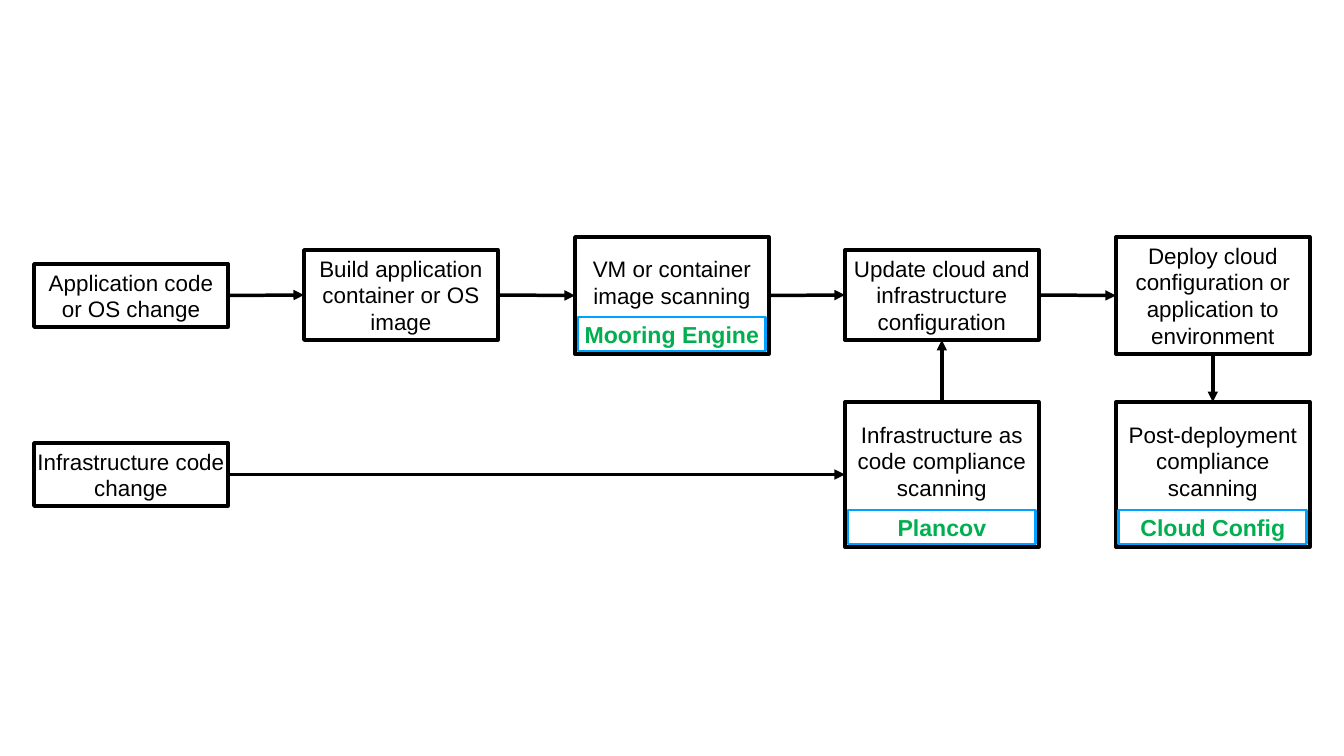
from lxml import etree
from pptx import Presentation
from pptx.dml.color import RGBColor
from pptx.enum.shapes import MSO_CONNECTOR, MSO_SHAPE
from pptx.enum.text import MSO_ANCHOR, PP_ALIGN
from pptx.oxml.ns import qn
from pptx.util import Inches, Pt

RECT = MSO_SHAPE.RECTANGLE
STRAIGHT = MSO_CONNECTOR.STRAIGHT
MIDDLE = MSO_ANCHOR.MIDDLE
CENTER = PP_ALIGN.CENTER
BLACK = RGBColor(0, 0, 0)
BLUE = RGBColor(0x00, 0xA2, 0xFF)
GREEN = RGBColor(0x00, 0xB0, 0x50)
TOP, LEFT, BOTTOM, RIGHT = range(4)
WIDTH, PAD, LINE = 194, 3, 27
TAG = 34
UPPER, LOWER = 295, 474


def px(n):
    return round(n * 914400 / 50.4)


class Flow:
    """Draws the boxes, tool tags and arrows of a flow chart on one slide."""

    def __init__(self, slide):
        self.shapes = slide.shapes
        self.font = "Arial"

    def rect(self, x, y, w, h, text, size, color, edge, weight, foot=PAD):
        box = self.shapes.add_shape(RECT, px(x), px(y), px(w), px(h))
        box.shadow.inherit = False
        box.fill.background()
        box.line.color.rgb = edge
        box.line.width = Pt(weight)
        frame = box.text_frame
        frame.word_wrap = True
        frame.vertical_anchor = MIDDLE
        frame.margin_left = frame.margin_right = frame.margin_top = px(PAD)
        frame.margin_bottom = px(foot)
        frame.text = text
        para = frame.paragraphs[0]
        para.alignment = CENTER
        font = para.runs[0].font
        font.name = self.font
        font.size = Pt(size)
        font.color.rgb = color
        return box

    def step(self, col, mid, high, text, tool=None):
        x = 34 + col * 541 // 2
        y = mid - high // 2
        foot = PAD + LINE if tool else PAD
        box = self.rect(x, y, WIDTH, high, text, 32, BLACK, BLACK, 5, foot)
        if tool:
            self.tag(x + PAD, y + high - TAG - PAD, tool)
        return box

    def tag(self, x, y, text):
        box = self.rect(x, y, WIDTH - 2 * PAD, TAG, text, 33, GREEN, BLUE, 4)
        box.text_frame.paragraphs[0].runs[0].font.bold = True

    def arrow(self, start, out, end, into):
        link = self.shapes.add_connector(STRAIGHT, 0, 0, 0, 0)
        link.begin_connect(start, out)
        link.end_connect(end, into)
        link.line.color.rgb = BLACK
        link.line.width = Pt(5)
        etree.SubElement(link.line._get_or_add_ln(), qn("a:tailEnd"), type="triangle")
        etree.SubElement(link._element.spPr, qn("a:effectLst"))


deck = Presentation()
deck.slide_width = Inches(26.67)
deck.slide_height = Inches(15)
flow = Flow(deck.slides.add_slide(deck.slide_layouts[6]))

chain = [
    flow.step(col, UPPER, high, *words)
    for col, (high, *words) in enumerate([
        (63, "Application code or OS change"),
        (90, "Build application container or OS image"),
        (117, "VM or container image scanning", "Mooring Engine"),
        (90, "Update cloud and infrastructure configuration"),
        (117, "Deploy cloud configuration or application to environment"),
    ])
]
change = flow.step(0, LOWER, 63, "Infrastructure code change")
check = flow.step(3, LOWER, 145, "Infrastructure as code compliance scanning", "Plancov")
audit = flow.step(4, LOWER, 145, "Post-deployment compliance scanning", "Cloud Config")

for start, end in [*zip(chain, chain[1:]), (change, check)]:
    flow.arrow(start, RIGHT, end, LEFT)
flow.arrow(check, TOP, chain[3], BOTTOM)
flow.arrow(chain[4], BOTTOM, audit, TOP)

deck.save("out.pptx")
